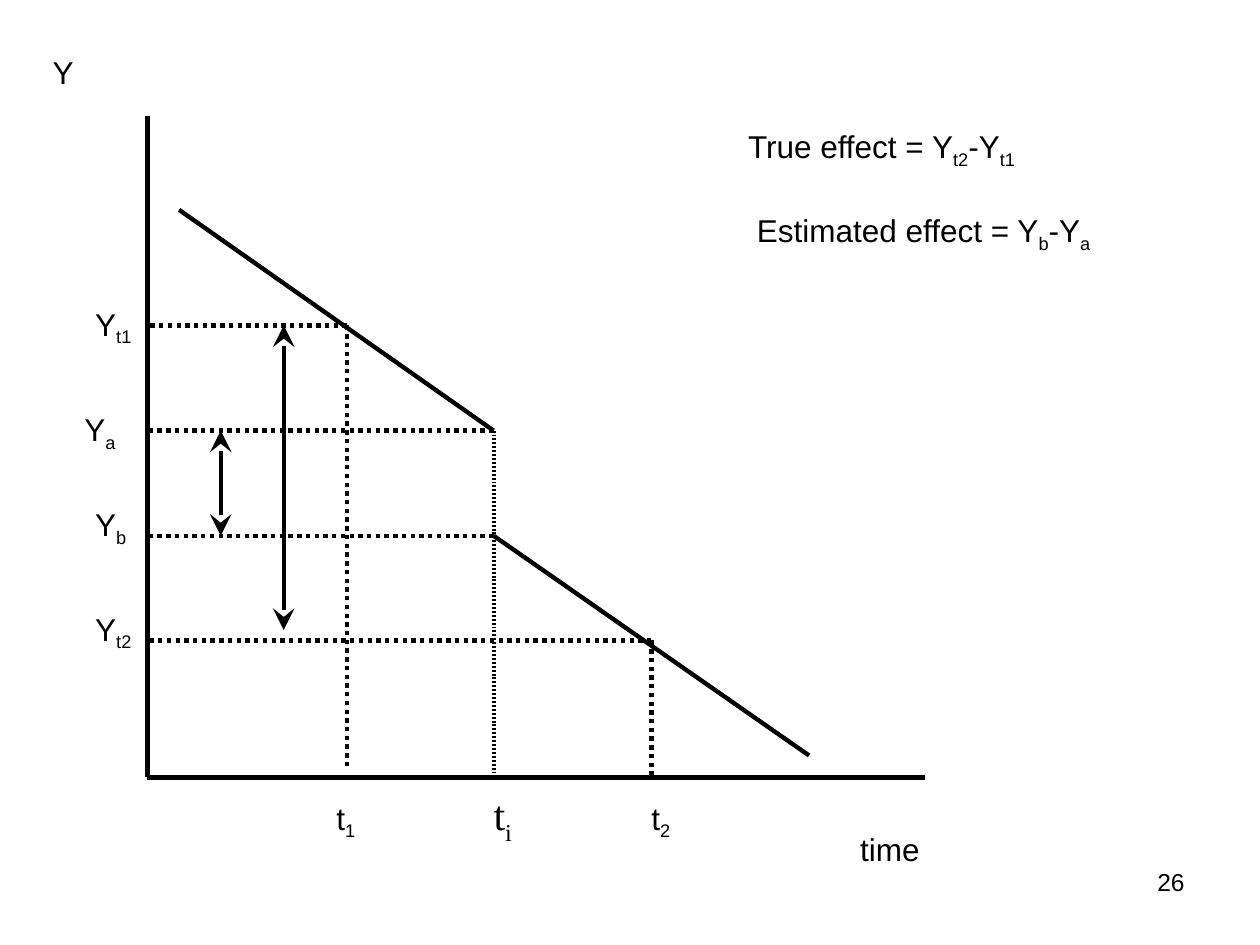
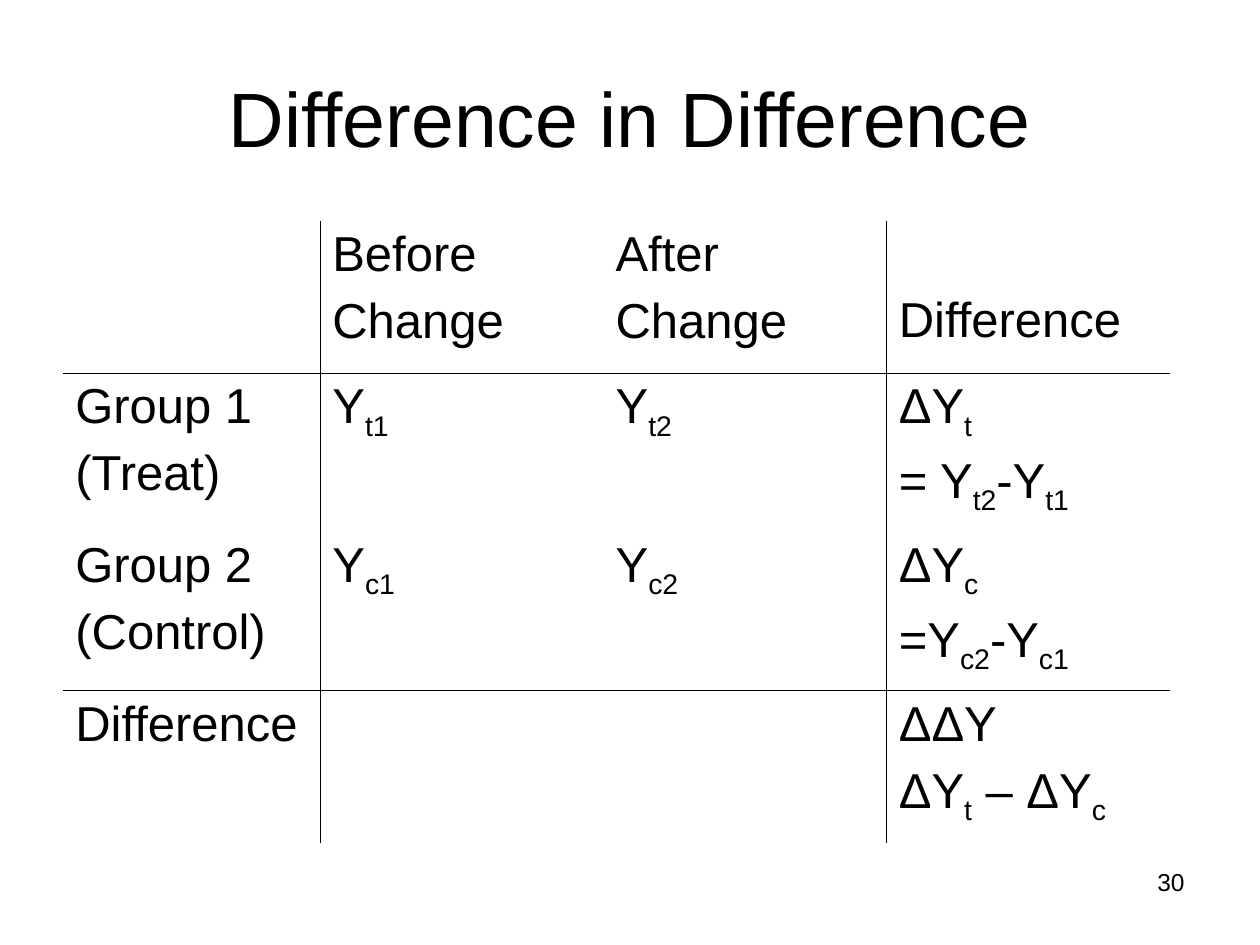
import lxml.etree
import pptx
import pptx.dml.color
import pptx.enum.dml
import pptx.enum.shapes
import pptx.enum.text
import pptx.oxml.ns
import pptx.util

Cm, Pt = pptx.util.Cm, pptx.util.Pt
qn = pptx.oxml.ns.qn
ALIGN = pptx.enum.text.PP_ALIGN
ANCHOR = pptx.enum.text.MSO_ANCHOR
DOTS = pptx.enum.dml.MSO_LINE.ROUND_DOT

HUES = {"ink": "000000"}
BODY = {"name": "Arial", "size": Pt(18)}
SERIF = {"name": "Times New Roman", "size": Pt(24)}
TITLE = {"name": "Arial", "size": Pt(44)}
GRID = {"name": "Arial", "size": Pt(28)}
FOOT = {"name": "Arial", "size": Pt(14)}
INSET = {"margin_left": Cm(0.25), "margin_right": Cm(0.25),
         "margin_top": Cm(0.13), "margin_bottom": Cm(0.13)}


def apply(item, look):
    """Set each attribute named in the look."""
    for name, value in look.items():
        setattr(item, name, value)


def ink(name):
    """Return the named colour."""
    return pptx.dml.color.RGBColor.from_string(HUES[name])


def write(frame, lines, font, para=None):
    """Write lines in which every second part between bars is a subscript."""
    for row, line in enumerate(lines):
        text = frame.add_paragraph() if row else frame.paragraphs[0]
        apply(text, para or {})
        for pos, part in enumerate(line.split("|")):
            if not part:
                continue
            run = text.add_run()
            run.text = part
            apply(run.font, font)
            run.font.color.rgb = ink("ink")
            if pos % 2:
                run.font._element.set("baseline", "-25000")


def label(slide, box, line, font=BODY, para=None, wrap=False):
    """Add a line of text in a box given in centimetres."""
    frame = slide.shapes.add_textbox(*map(Cm, box)).text_frame
    apply(frame, {**INSET, "word_wrap": wrap})
    write(frame, [line], font, para)


def number(slide, box, value):
    """Add the page number."""
    label(slide, box, value, FOOT, {"alignment": ALIGN.RIGHT}, True)


def stroke(slide, ends, dash=None, heads=False, fine=False):
    """Draw a straight line, dotted or with arrowheads if asked."""
    kind = pptx.enum.shapes.MSO_CONNECTOR.STRAIGHT
    wire = slide.shapes.add_connector(kind, *map(Cm, ends))
    wire.line.color.rgb = ink("ink")
    apply(wire.line, {"width": Pt(2.25 if fine else 2.5), "dash_style": dash})
    pen = wire.line._get_or_add_ln()
    if fine:
        dots = lxml.etree.SubElement(pen, qn("a:custDash"))
        lxml.etree.SubElement(dots, qn("a:ds"), d="50000", sp="50000")
    if heads:
        for tag in ("a:headEnd", "a:tailEnd"):
            lxml.etree.SubElement(pen, qn(tag), type="stealth",
                                  w="lg", len="lg")
    lxml.etree.SubElement(wire._element.spPr, qn("a:effectLst"))


def plot(slide, box):
    """Draw the time trend, its guides and labels from the box's corner."""
    left, top, wide, high = box
    early, mid, late = 4.02, 6.98, 10.16
    first, above, below, last = 4.23, 6.35, 8.47, 10.58

    def draw(x1, y1, x2, y2, **look):
        """Draw a line measured from the corner of the box."""
        stroke(slide, (left + x1, top + y1, left + x2, top + y2), **look)

    for ends in ((0, 0, 0, high), (0, high, wide, high),
                 (0.64, 1.9, mid, above), (mid, below, 13.34, 12.9)):
        draw(*ends)
    for x, y in ((early, first), (mid, above), (mid, below), (late, last)):
        draw(x, y, 0, y, dash=DOTS)
    draw(early, first, early, high - 0.22, dash=DOTS)
    draw(late, last, late, high, dash=DOTS)
    draw(mid, above, mid, high, fine=True)
    draw(1.48, above, 1.48, below, heads=True)
    draw(2.75, first, 2.75, last - 0.21, heads=True)

    for x, y, w, h, line in (
            (14.12, 14.27, 1.75, 1.02, "time"),
            (-2.16, -1.4, 0.95, 1.02, "Y"),
            (early - 0.46, high + 0.3, 0.95, 1.12, "t|1"),
            (late - 0.25, high + 0.3, 0.95, 1.12, "t|2"),
            (-1.52, above - 0.55, 1.2, 1.12, "Y|a"),
            (-1.3, below - 0.75, 1.2, 1.12, "Y|b"),
            (-1.3, first - 0.55, 1.3, 1.12, "Y|t1"),
            (-1.3, last - 0.75, 1.3, 1.12, "Y|t2"),
            (11.86, 0.1, 6, 1.12, "True effect = Y|t2|-Y|t1"),
            (12.04, 1.79, 7.3, 1.12, "Estimated effect = Y|b|-Y|a")):
        label(slide, (left + x, top + y, w, h), line)
    label(slide, (left + mid - 0.25, top + high + 0.1, 0.98, 1.42), "t|i",
          SERIF, {"space_before": Pt(6)})


def head(slide, box, line):
    """Place and format the title."""
    title = slide.shapes.title
    apply(title, dict(zip(("left", "top", "width", "height"), map(Cm, box))))
    title.text_frame.vertical_anchor = ANCHOR.MIDDLE
    write(title.text_frame, [line], TITLE, {"alignment": ALIGN.CENTER})


def edge(cell, sides):
    """Rule the given sides of a cell and clear the others."""
    props = cell._tc.get_or_add_tcPr()
    for pos, side in enumerate("LRTB"):
        rule = lxml.etree.Element(qn("a:ln" + side), w="5715")
        if side in sides:
            fill = lxml.etree.SubElement(rule, qn("a:solidFill"))
            lxml.etree.SubElement(fill, qn("a:srgbClr"), val=HUES["ink"])
        else:
            lxml.etree.SubElement(rule, qn("a:noFill"))
        props.insert(pos, rule)


def matrix(slide, box):
    """Build the table of differences in the box."""
    rows = (
        ((), ("Before", "Change"), ("After", "Change"), ("Difference",)),
        (("Group 1", "(Treat)"), ("Y|t1",), ("Y|t2",),
         ("ΔY|t", "= Y|t2|-Y|t1")),
        (("Group 2", "(Control)"), ("Y|c1",), ("Y|c2",),
         ("ΔY|c", "=Y|c2|-Y|c1")),
        (("Difference",), (), (), ("ΔΔY", "ΔY|t| – ΔY|c")),
    )
    table = slide.shapes.add_table(4, 4, *map(Cm, box)).table
    apply(table, {"first_row": False, "horz_banding": False})
    for col, wide in zip(table.columns, (5.18, 5.71, 5.71, 5.71)):
        col.width = Cm(wide)
    for row, high in zip(table.rows, (3.07, 3.2, 3.2, 3.07)):
        row.height = Cm(high)
    sides = ("R", "L", "R", "L")
    ends = ("B", "T", "B", "T")
    for r, row in enumerate(rows):
        for c, lines in enumerate(row):
            cell = table.cell(r, c)
            apply(cell, INSET)
            cell.fill.background()
            write(cell.text_frame, lines, GRID, {"space_before": Pt(7)})
            edge(cell, sides[c] + ends[r])
    table.cell(0, 3).margin_top = Cm(1.47)


def main():
    """Build both slides and save them."""
    deck = pptx.Presentation()
    apply(deck, {"slide_width": Cm(25.4), "slide_height": Cm(19.05)})
    foot = (18.21, 17.35, 5.92, 1.32)

    trend = deck.slides.add_slide(deck.slide_layouts[6])
    plot(trend, (2.97, 2.33, 15.67, 13.34))
    number(trend, foot, "26")

    diff = deck.slides.add_slide(deck.slide_layouts[5])
    head(diff, (1.27, 0.76, 22.86, 3.18), "Difference in Difference")
    matrix(diff, (1.27, 4.45, 22.31, 12.54))
    number(diff, foot, "30")
    deck.save("out.pptx")


if __name__ == "__main__":
    main()
